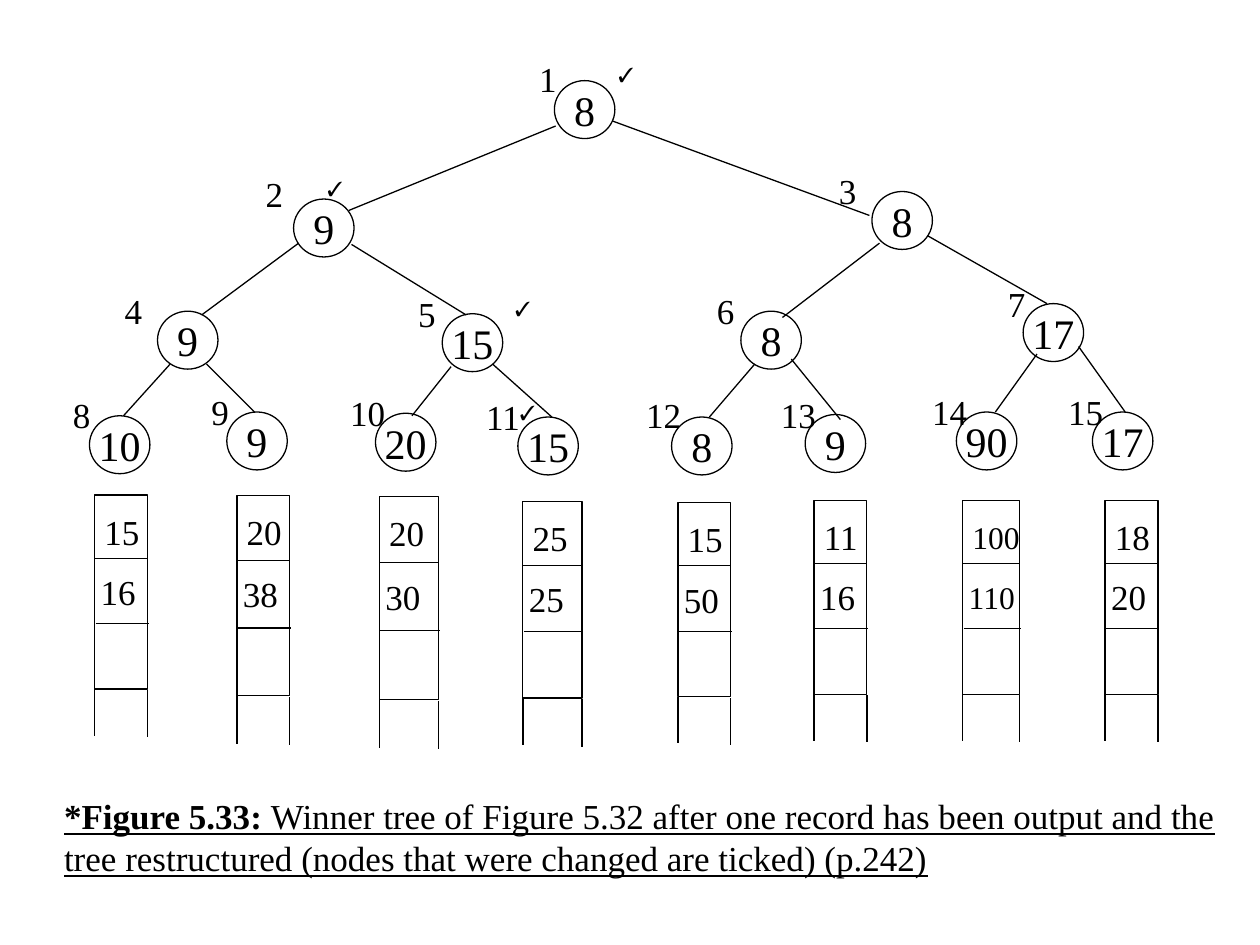
"""Build a slide with a winner tree, its sorted runs and a caption."""
from dataclasses import dataclass
from typing import Optional

from lxml.etree import SubElement
from pptx import Presentation
from pptx.dml.color import RGBColor
from pptx.enum.shapes import MSO_CONNECTOR as Link, MSO_SHAPE as Preset
from pptx.enum.text import MSO_ANCHOR as Anchor, PP_ALIGN as Align
from pptx.oxml.ns import qn
from pptx.util import Inches, Pt

COLUMNS, ROWS = 100, 75
SLIDE_WIDTH, SLIDE_HEIGHT = Inches(10), Inches(7.5)
COLORS = {"ink": "000000"}
FONT = "Times New Roman"
NODE_WIDTH, NODE_HEIGHT = 4.8, 4.6
RUN_HEIGHT = 15.4
DIGIT, MARGIN = 1.4, 1
LABEL_HEIGHT = 4.3


@dataclass
class Node:
    """A tree node with its label place, the link from its parent and its tick gap."""
    number: int
    value: int
    x: float
    y: float
    label_x: float
    label_y: float
    link: Optional[tuple] = None
    tick: Optional[float] = None


@dataclass
class Run:
    """An open-ended column of waiting records below a leaf."""
    values: tuple
    x: float
    y: float
    width: float = 4.2
    height: float = RUN_HEIGHT


NODES = [
    Node(8, 10, 7.1, 33, 4.8, 30.7, (13.5, 28.9, 9.8, 33)),
    Node(9, 9, 18, 32.7, 15.8, 30.5, (16.4, 28.9, 20.2, 32.7)),
    Node(10, 20, 29.8, 32.8, 26.8, 30.6, (35.8, 29.1, 32.7, 33)),
    Node(11, 15, 41.1, 33.1, 37.6, 30.9, (39.1, 28.9, 43.8, 33.1), 0),
    Node(12, 8, 53.3, 33.1, 50.3, 30.7, (59.9, 28.9, 56.3, 33.1)),
    Node(13, 9, 63.9, 32.9, 61, 30.7, (62.8, 28.5, 66.7, 33.3)),
    Node(14, 90, 75.9, 32.7, 73, 30.5, (82.3, 28.1, 79, 32.7)),
    Node(15, 17, 86.7, 32.7, 83.8, 30.5, (85.6, 27.5, 89.3, 32.7)),
    Node(4, 9, 12.5, 24.7, 8.9, 22.5, (23.7, 19.3, 16, 25)),
    Node(5, 15, 35.1, 24.9, 32.2, 22.7, (27.9, 19.4, 37, 25), 7.7),
    Node(6, 8, 58.8, 24.7, 55.9, 22.5, (69.8, 19.3, 62.1, 25.2)),
    Node(7, 17, 81.2, 24.1, 79, 21.9, (73.6, 18.7, 83.1, 24.1)),
    Node(2, 9, 23.3, 15.8, 20.1, 13.2, (44.1, 10, 27.7, 16.7), 4.9),
    Node(3, 8, 69.2, 15.2, 65.6, 13, (48.6, 9.6, 69, 17.1)),
    Node(1, 8, 44, 6.4, 41.8, 4.1, tick=6.3),
]
RUNS = [
    Run((15, 16), 7.5, 39.3),
    Run((20, 38), 18.8, 39.3, height=15.9),
    Run((20, 30), 30.1, 39.4, 4.7, 16.1),
    Run((25, 25), 41.5, 39.8, 4.7, 15.6),
    Run((15, 50), 53.8, 39.9),
    Run((11, 16), 64.6, 39.7),
    Run((100, 110), 76.4, 39.7, 4.5),
    Run((18, 20), 87.7, 39.7),
]
CAPTION = (
    "*Figure 5.33: ",
    "Winner tree of Figure 5.32 after one record has been output and the "
    "tree restructured (nodes that were changed are ticked) (p.242)",
)


def across(columns: float) -> int:
    """Turn grid columns into a length."""
    return round(columns * SLIDE_WIDTH / COLUMNS)


def down(rows: float) -> int:
    """Turn grid rows into a length."""
    return round(rows * SLIDE_HEIGHT / ROWS)


def place(x: float, y: float, width: float, height: float) -> tuple:
    """Return left, top, width and height for a grid area."""
    return across(x), down(y), across(width), down(height)


def ink() -> RGBColor:
    """Return the colour of lines and text."""
    return RGBColor.from_string(COLORS["ink"])


def style(span, size: float, bold: bool = False, underline: bool = False) -> None:
    """Format one text run."""
    font = span.font
    font.name, font.size, font.bold, font.underline = FONT, Pt(size), bold, underline
    font.color.rgb = ink()


def draw_line(page, x1: float, y1: float, x2: float, y2: float) -> None:
    """Draw a thin straight line between two grid points."""
    line = page.shapes.add_connector(
        Link.STRAIGHT, across(x1), down(y1), across(x2), down(y2))
    line.line.width = Pt(0.75)
    line.line.color.rgb = ink()
    SubElement(line._element.spPr, qn("a:effectLst"))


def draw_outline(page, preset, area: tuple):
    """Draw an unfilled preset shape."""
    shape = page.shapes.add_shape(preset, *place(*area))
    shape.shadow.inherit = False
    shape.fill.background()
    shape.line.width = Pt(0.75)
    shape.line.color.rgb = ink()
    return shape


def draw_text(page, text: str, area: tuple, size: float = 20):
    """Draw a wrapping text box and return its paragraph."""
    box = page.shapes.add_textbox(*place(*area))
    box.text_frame.word_wrap = True
    box.text_frame.text = text
    para = box.text_frame.paragraphs[0]
    style(para.runs[0], size)
    return para


def draw_run(page, run: Run) -> None:
    """Draw a column of records with dividers, open ends and values."""
    scale = run.height / RUN_HEIGHT
    right, bottom = run.x + run.width, run.y + run.height
    draw_outline(page, Preset.RECTANGLE, (run.x, run.y, run.width, run.height))
    for shift, row in ((0, 5), (0.1, 10.2)):
        level = run.y + row * scale
        draw_line(page, run.x + shift, level, right + shift, level)
    for x, start in ((run.x, bottom), (right, bottom + 0.1)):
        draw_line(page, x, start, x, start + 3.7 * scale)
    for value, shift, row in zip(run.values, (-0.2, -0.5), (0.7, 5.5)):
        text = str(value)
        size, drop = (18, 0.2) if len(text) > 2 else (20, 0)
        width = 2 * MARGIN + DIGIT * len(text) + 0.5
        top = run.y + row * scale + drop
        draw_text(page, text, (run.x + shift, top, width, LABEL_HEIGHT), size)


def draw_node(page, node: Node) -> None:
    """Draw a node circle with its value, number and optional tick."""
    circle = draw_outline(page, Preset.OVAL, (node.x, node.y, NODE_WIDTH, NODE_HEIGHT))
    frame = circle.text_frame
    frame.text, frame.word_wrap, frame.vertical_anchor = str(node.value), False, Anchor.MIDDLE
    frame.paragraphs[0].alignment = Align.CENTER
    style(frame.paragraphs[0].runs[0], 24)
    text = str(node.number)
    ticked = node.tick is not None
    width = 2 * MARGIN + max(DIGIT * len(text), node.tick or 0) + (2.5 if ticked else 0.5)
    para = draw_text(page, text, (node.label_x, node.label_y, width, LABEL_HEIGHT))
    if ticked:
        if node.tick:
            tabs = SubElement(para._p.get_or_add_pPr(), qn("a:tabLst"))
            SubElement(tabs, qn("a:tab"), pos=str(across(node.tick)), algn="l")
        span = para.add_run()
        span.text = "\t✓" if node.tick else "✓"
        style(span, 20)
        span._r.get_or_add_rPr().set("baseline", "30000")


def draw_caption(page) -> None:
    """Draw the underlined figure caption."""
    lead, rest = CAPTION
    para = draw_text(page, lead, (4.1, 62.6, 95.5, 7.7))
    style(para.runs[0], 20, bold=True, underline=True)
    span = para.add_run()
    span.text = rest
    style(span, 20, underline=True)


def main() -> None:
    """Build and save the deck."""
    deck = Presentation()
    deck.slide_width, deck.slide_height = SLIDE_WIDTH, SLIDE_HEIGHT
    page = deck.slides.add_slide(deck.slide_layouts[6])
    draw_caption(page)
    for run in RUNS:
        draw_run(page, run)
    for node in NODES:
        draw_node(page, node)
    for node in NODES:
        if node.link:
            draw_line(page, *node.link)
    deck.save("out.pptx")


if __name__ == "__main__":
    main()
